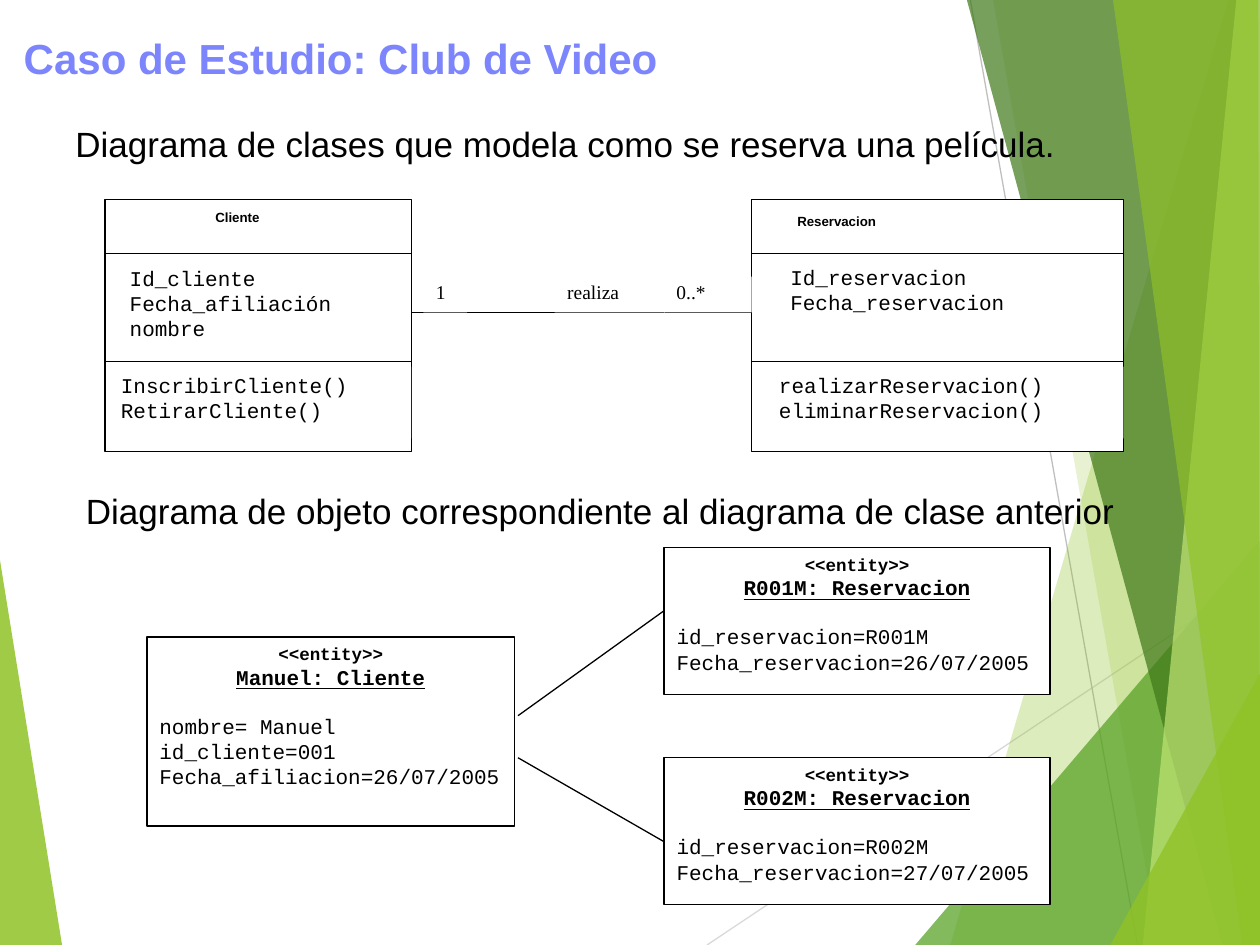
from lxml.etree import SubElement
from pptx import Presentation
from pptx.dml.color import RGBColor
from pptx.enum.shapes import MSO_CONNECTOR, MSO_SHAPE
from pptx.enum.text import MSO_ANCHOR, PP_ALIGN
from pptx.oxml.ns import qn
from pptx.util import Pt

COLORS = {
    "black": "000000", "white": "FFFFFF", "title": "7C85FC",
    "lime": "90C226", "green": "54A021", "forest": "3F7819", "pale": "C0E474",
    "light gray": "D9D9D9", "gray": "BFBFBF",
}
FORMATS = {
    "title": {"name": "Arial", "size": Pt(24), "bold": True},
    "heading": {"name": "Arial", "size": Pt(20)},
    "class name": {"name": "Arial", "size": Pt(7.6), "bold": True},
    "label": {"name": "Times New Roman", "size": Pt(11.1)},
    "member": {"name": "Courier New", "size": Pt(12)},
    "stereotype": {"name": "Courier New", "size": Pt(10), "bold": True},
    "object name": {"name": "Courier New", "size": Pt(12), "bold": True, "underline": True},
}
LINE_SPACING = {"title": 0.9, "class name": 0.8, "label": 0.9}


def color(name):
    return RGBColor.from_string(COLORS[name])


class SlideBuilder:
    def __init__(self, slide):
        self.slide = slide
        self.line_width = Pt(0.75)

    def fill(self, shape, fill_color, opacity=100):
        shape.shadow.inherit = False
        shape.fill.solid()
        shape.fill.fore_color.rgb = color(fill_color)
        if opacity < 100:
            element = shape._element.spPr.find(qn("a:solidFill"))[0]
            SubElement(element, qn("a:alpha"), val=str(opacity * 1000))

    def facet(self, points, fill_color, opacity):
        start, *others = [(Pt(x), Pt(y)) for x, y in points]
        builder = self.slide.shapes.build_freeform(*start, scale=1.0)
        builder.add_line_segments(others, close=True)
        shape = builder.convert_to_shape()
        self.fill(shape, fill_color, opacity)
        shape.line.fill.background()

    def line(self, x1, y1, x2, y2, line_color="black"):
        connector = self.slide.shapes.add_connector(
            MSO_CONNECTOR.STRAIGHT, Pt(x1), Pt(y1), Pt(x2), Pt(y2))
        connector.line.color.rgb = color(line_color)
        connector.line.width = self.line_width
        SubElement(connector._element.spPr, qn("a:effectLst"))

    def box(self, left, top, width, height, outlined=True):
        shape = self.slide.shapes.add_shape(
            MSO_SHAPE.RECTANGLE, Pt(left), Pt(top), Pt(width), Pt(height))
        self.fill(shape, "white")
        if outlined:
            shape.line.color.rgb = color("black")
            shape.line.width = self.line_width
        else:
            shape.line.fill.background()
        return shape

    def set_rows(self, shape, rows, font_color="black", anchor=MSO_ANCHOR.TOP):
        frame = shape.text_frame
        frame.word_wrap = True
        frame.vertical_anchor = anchor
        for index, (text, style) in enumerate(rows):
            paragraph = frame.add_paragraph() if index else frame.paragraphs[0]
            paragraph.text = text
            paragraph.alignment = PP_ALIGN.LEFT
            paragraph.line_spacing = LINE_SPACING.get(style, 1.0)
            for attribute, value in FORMATS[style].items():
                setattr(paragraph.font, attribute, value)
            paragraph.font.color.rgb = color(font_color)
        return frame.paragraphs

    def text(self, left, top, width, height, text, style, **options):
        shape = self.slide.shapes.add_textbox(Pt(left), Pt(top), Pt(width), Pt(height))
        self.set_rows(shape, [(text, style)], **options)

    def panel(self, left, top, width, height, texts, style="member"):
        shape = self.box(left, top, width, height, outlined=False)
        self.set_rows(shape, [(text, style) for text in texts])

    def class_box(self, left, width, name, name_area, attributes, methods):
        self.box(left, 114, width, 144)
        for y in (144.75, 206.5):
            self.line(left, y, left + width, y)
        self.text(*name_area, name, "class name")
        for area, members in (attributes, methods):
            self.panel(*area, members)

    def object_box(self, left, top, width, height, name, values):
        shape = self.box(left, top, width, height)
        rows = [("<<entity>>", "stereotype"), (name, "object name")]
        paragraphs = self.set_rows(shape, rows + [(value, "member") for value in values])
        for paragraph in paragraphs[:2]:
            paragraph.alignment = PP_ALIGN.CENTER
        paragraphs[2].space_before = Pt(13.6)


def draw_background(builder):
    builder.facet([(0, 320), (35.5, 540), (0, 540)], "lime", 85)
    builder.line(404, 540, 720, 329, "light gray")
    builder.line(554.5, 0, 650, 540, "gray")
    for points, fill_color, opacity in (
        ([(702, 0), (543, 540), (720, 540), (720, 0)], "lime", 30),
        ([(567.5, 0), (662.5, 540), (720, 540), (720, 0)], "lime", 20),
        ([(523, 540), (720, 309), (720, 540)], "green", 72),
        ([(552.5, 0), (698.5, 540), (720, 540), (720, 0)], "forest", 70),
        ([(706.5, 0), (653, 540), (720, 540), (720, 0)], "pale", 70),
        ([(636, 0), (710, 540), (720, 540), (719, 0)], "lime", 65),
        ([(634.5, 540), (720, 385), (720, 540)], "lime", 80),
    ):
        builder.facet(points, fill_color, opacity)


def draw_class_diagram(builder):
    builder.text(36, 66.25, 636, 48, "Diagrama de clases que modela como se reserva una película.", "heading")
    builder.class_box(
        429.5, 212.5, "Reservacion", (448.5, 120, 112, 17.5),
        ((444.5, 147.5, 162, 51), ["Id_reservacion", "Fecha_reservacion"]),
        ((438, 209.5, 204, 41), ["realizarReservacion()", "eliminarReservacion()"]))
    builder.line(230, 178.75, 429.5, 178.75)
    builder.class_box(
        60, 175, "Cliente", (116, 117.5, 80, 17.5),
        ((67, 148, 162, 51), ["Id_cliente", "Fecha_afiliación", "nombre"]),
        ((62, 209.5, 173, 41), ["InscribirCliente()", "RetirarCliente()"]))
    for left, width, label in ((317, 63, "realiza"), (242, 25, "1"), (379.5, 50, "0..*")):
        builder.panel(left, 158, width, 20.5, [label], "label")


def draw_object_diagram(builder):
    builder.text(42, 276, 636, 48, "Diagrama de objeto correspondiente al diagrama de clase anterior", "heading")
    builder.object_box(
        84, 364, 210, 108, "Manuel: Cliente",
        ["nombre= Manuel", "id_cliente=001", "Fecha_afiliacion=26/07/2005"])
    for top, code, day in ((313, "R001M", 26), (433, "R002M", 27)):
        builder.object_box(
            379.5, top, 220.5, 84, f"{code}: Reservacion",
            [f"id_reservacion={code}", f"Fecha_reservacion={day}/07/2005"])
    builder.line(296, 409, 379.5, 349)
    builder.line(296, 433, 379.5, 481)


def main():
    presentation = Presentation()
    presentation.slide_width = Pt(720)
    presentation.slide_height = Pt(540)
    builder = SlideBuilder(presentation.slides.add_slide(presentation.slide_layouts[6]))
    draw_background(builder)
    draw_class_diagram(builder)
    draw_object_diagram(builder)
    builder.text(6.5, 6.5, 705.5, 45, "Caso de Estudio: Club de Video", "title",
                 font_color="title", anchor=MSO_ANCHOR.BOTTOM)
    presentation.save("out.pptx")


if __name__ == "__main__":
    main()
